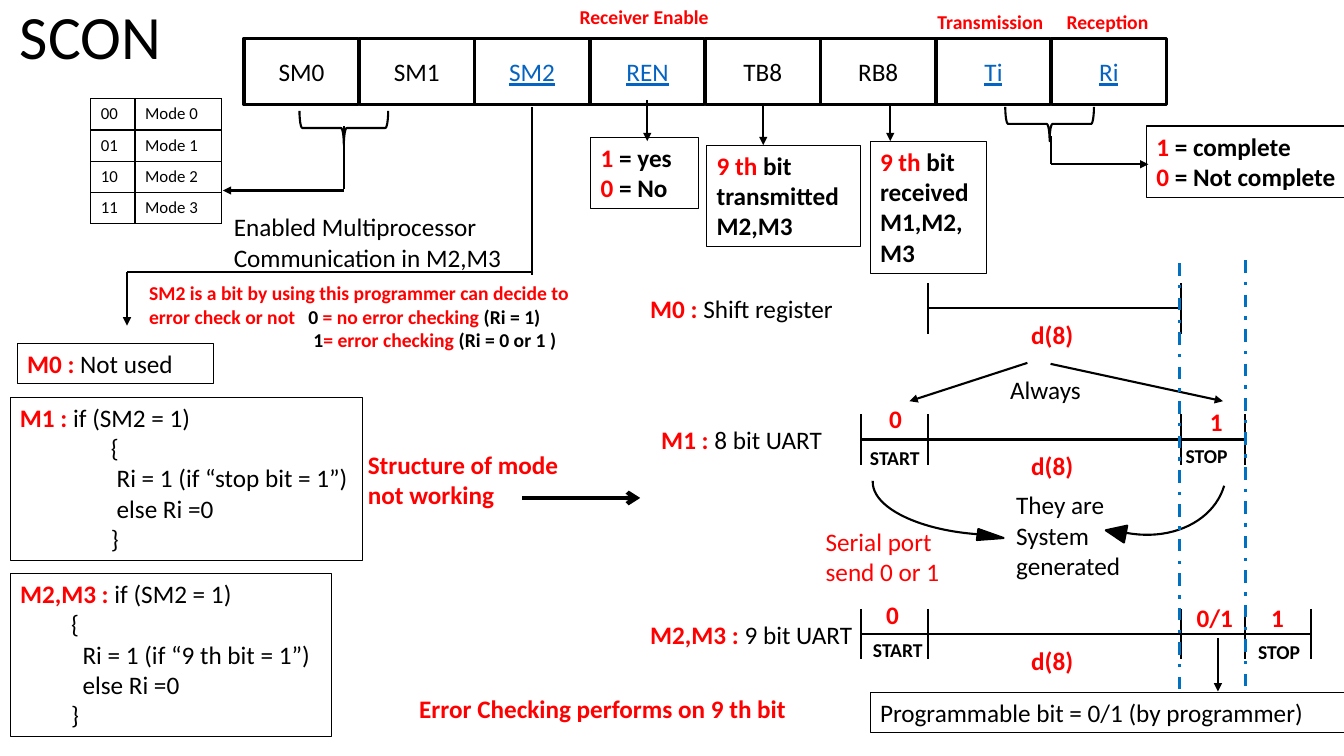
from itertools import pairwise

from lxml import etree
from pptx import Presentation
from pptx.dml.color import RGBColor
from pptx.enum.dml import MSO_LINE
from pptx.enum.shapes import MSO_CONNECTOR, MSO_SHAPE
from pptx.enum.text import MSO_ANCHOR, MSO_AUTO_SIZE, PP_ALIGN
from pptx.oxml.ns import qn
from pptx.util import Inches, Pt

RECT, BRACE = MSO_SHAPE.RECTANGLE, MSO_SHAPE.RIGHT_BRACE
ARC, TRIANGLE = MSO_SHAPE.ARC, MSO_SHAPE.ISOSCELES_TRIANGLE
STRAIGHT, DASH_DOT = MSO_CONNECTOR.STRAIGHT, MSO_LINE.DASH_DOT
TOP, MIDDLE = MSO_ANCHOR.TOP, MSO_ANCHOR.MIDDLE
LEFT, CENTER = PP_ALIGN.LEFT, PP_ALIGN.CENTER
FIT, FIXED = MSO_AUTO_SIZE.SHAPE_TO_FIT_TEXT, MSO_AUTO_SIZE.NONE
BLACK, RED, LINK, BLUE = "000000", "FF0000", "0563C1", "0070C0"


def rgb(value):
    return RGBColor.from_string(value)


def add_run(p, text, size, color=BLACK, bold=False, underline=False):
    r = p.add_run()
    r.text = text
    font = r.font
    font.name, font.size, font.bold = "Calibri", Pt(size), bold
    font.underline = underline
    font.color.rgb = rgb(color)


def fill_text(tf, paragraphs, size=18, align=LEFT):
    for i, runs in enumerate(paragraphs):
        p = tf.add_paragraph() if i else tf.paragraphs[0]
        p.alignment = align
        for run in runs:
            if run[0] == "\n":
                p.add_line_break()
            else:
                add_run(p, run[0], size, *run[1:])


def add_text(s, at, paragraphs, size=18, wrap=True):
    sp = s.shapes.add_textbox(*map(Inches, at))
    tf = sp.text_frame
    tf.word_wrap, tf.auto_size = wrap, FIT
    fill_text(tf, paragraphs, size)
    return tf


def add_label(s, x, y, w, text, size=18, color=RED, wrap=False):
    h = 0.4 if size == 18 else 0.34
    add_text(s, (x, y, w, h), [[(text, color, True)]], size, wrap)


def add_shape(s, kind, at, width, fill=None, rotation=0, flip=""):
    sp = s.shapes.add_shape(kind, *map(Inches, at))
    sp.shadow.inherit = False
    sp.line.color.rgb, sp.line.width = rgb(BLACK), Pt(width)
    if fill:
        sp.fill.solid()
        sp.fill.fore_color.rgb = rgb(fill)
    else:
        sp.fill.background()
    sp.rotation = rotation
    for axis in flip:
        sp._element.spPr.find(qn("a:xfrm")).set("flip" + axis, "1")
    return sp


def add_box(s, at, paragraphs):
    tf = add_shape(s, RECT, at, 0.75).text_frame
    tf.word_wrap, tf.auto_size, tf.vertical_anchor = True, FIT, TOP
    fill_text(tf, paragraphs)


def add_line(s, x1, y1, x2, y2, head=None, color=BLACK, width=1.5, dash=None):
    c = s.shapes.add_connector(STRAIGHT, *map(Inches, (x1, y1, x2, y2)))
    c.line.color.rgb, c.line.width = rgb(color), Pt(width)
    if dash:
        c.line.dash_style = dash
    if head:
        etree.SubElement(c.line._get_or_add_ln(), qn("a:tailEnd"), type=head)
    etree.SubElement(c._element.spPr, qn("a:effectLst"))


def add_register(s):
    for i, name in enumerate(["SM0", "SM1", "SM2", "REN", "TB8", "RB8", "Ti", "Ri"]):
        linked = name in ("SM2", "REN", "Ti", "Ri")
        sp = add_shape(s, RECT, (2.42 + i * 1.144, 0.38, 1.14, 0.66), 2.25)
        sp.text_frame.vertical_anchor = MIDDLE
        run = (name, LINK if linked else BLACK, False, linked)
        fill_text(sp.text_frame, [[run]], align=CENTER)


def add_modes(s):
    frame = s.shapes.add_table(4, 2, *map(Inches, (0.9, 0.98, 1.3, 1.24)))
    table = frame.table
    table.first_row = table.horz_banding = False
    for col, width in zip(table.columns, (0.44, 0.86)):
        col.width = Inches(width)
    for i in range(4):
        table.rows[i].height = Inches(0.31)
        for j, text in enumerate((f"{i:02b}", f"Mode {i}")):
            cell = table.cell(i, j)
            fill_text(cell.text_frame, [[(text,)]], 12)
            tc_pr = cell._tc.get_or_add_tcPr()
            for side in ("lnL", "lnR", "lnT", "lnB"):
                ln = etree.SubElement(tc_pr, qn("a:" + side), w=str(Pt(1)))
                solid = etree.SubElement(ln, qn("a:solidFill"))
                etree.SubElement(solid, qn("a:srgbClr"), val=BLACK)
            cell.fill.background()


def add_frame(s, y, ticks, name, meaning, x):
    for start, end in pairwise(ticks):
        add_line(s, start, y, end, y)
    for tick in ticks:
        add_line(s, tick, y - 0.25, tick, y + 0.25)
    add_label(s, 10.13, y + 0.06, 0.9, "d(8)")
    add_text(s, (x, y - 0.2, 2.32, 0.4), [[(name, RED, True), (meaning,)]])


def add_sm2_note(s):
    tf = add_text(s, (1.38, 2.74, 4.42, 1.04), [
        [("SM2 is a bit by using this programmer can decide to error check or not\t", RED, True),
         ("0", BLACK, True), (" = no error checking ", RED, True), ("(Ri = 1)", BLACK, True)],
        [("1", BLACK, True), ("= error checking ", RED, True), ("(Ri = 0 or 1 )", BLACK, True)],
    ], 14)
    first, second = (p._p.get_or_add_pPr() for p in tf.paragraphs)
    tabs = etree.SubElement(first, qn("a:tabLst"))
    etree.SubElement(tabs, qn("a:tab"), pos=str(Inches(1.58)), algn="l")
    second.set("marL", str(Inches(1.63)))
    second.set("indent", "0")


def add_code(s, at, name, brace_indent, body_indent, bit):
    brace, body = " " * brace_indent, " " * body_indent
    lines = [brace + "{", f"{body}Ri = 1 (if “{bit} = 1”)", body + "else Ri =0", brace + "}"]
    add_box(s, at, [[(name, RED, True), ("if (SM2 = 1)",)]] + [[(line,)] for line in lines])


def add_choice(s, at, one, zero):
    add_box(s, at, [[(digit, RED, True), (f" = {meaning}", BLACK, True)]
                    for digit, meaning in (("1", one), ("0", zero))])


def add_curves(s):
    for at, start, rotation, flip in (
        ((10.54, 3.65, 1.46, 1.82), 162.04, 286.5, "HV"),
        ((9.32, 3.67, 0.97, 2.3), 161.83, 272.2, "H"),
    ):
        arc = add_shape(s, ARC, at, 1.5, None, rotation, flip)
        arc.adjustments[0], arc.adjustments[1] = start, 0
    add_shape(s, TRIANGLE, (10.98, 5.18, 0.17, 0.2), 1.5, BLACK, 101, "HV")
    add_shape(s, TRIANGLE, (9.77, 5.19, 0.11, 0.26), 1.5, BLACK, 97.7, "H")


def add_uart_frames(s):
    add_frame(s, 3.06, (9.2, 11.71), "M0 : ", "Shift register", 6.35)
    add_frame(s, 4.36, (8.54, 9.2, 11.71, 12.35), "M1 : ", "8 bit UART", 6.46)
    add_frame(s, 6.29, (8.54, 9.2, 11.71, 12.35, 13), "M2,M3 : ", "9 bit UART", 6.35)
    for x, y, text in ((8.72, 3.95, "0"), (11.9, 3.98, "1"), (8.69, 5.9, "0"), (12.51, 5.93, "1")):
        add_label(s, x, y, 0.39, text)
    for x, y, w, text in ((8.53, 4.37, 0.7, "START"), (11.66, 4.35, 0.62, "STOP"),
                          (8.56, 6.28, 0.7, "START"), (12.38, 6.3, 0.62, "STOP")):
        add_label(s, x, y, w, text, 14, BLACK)
    add_label(s, 11.77, 5.93, 0.69, "0/1", wrap=True)
    add_text(s, (9.92, 3.66, 1.48, 0.4), [[("Always",)]])
    add_text(s, (9.98, 4.81, 1.48, 1.01), [[("They are",)], [("System",)], [("generated",)]])
    add_text(s, (8.09, 5.17, 1.48, 0.71), [[("Serial port send 0 or 1", RED)]])
    add_curves(s)
    add_box(s, (8.63, 6.87, 4.74, 0.4), [[("Programmable bit = 0/1 (by programmer)",)]])


def add_lines(s):
    for points in ((3.41, 1.25, 3.41, 1.88), (5.28, 1.06, 5.28, 2.73),
                   (5.29, 2.7, 1.26, 2.7), (10.42, 1.35, 10.42, 1.63)):
        add_line(s, *points)
    for points in ((3.41, 1.89, 2.21, 1.89), (1.26, 2.7, 1.26, 3.23), (10.42, 1.63, 11.39, 1.63),
                   (6.42, 0.99, 6.42, 1.4), (7.57, 1.03, 7.57, 1.44), (8.83, 1.03, 8.83, 1.4),
                   (10.19, 3.6, 9.02, 3.98), (10.42, 3.61, 12.13, 3.98), (12.08, 6.33, 12.08, 6.86)):
        add_line(s, *points, "triangle")
    add_line(s, 5.18, 4.94, 6.35, 4.94, "arrow", width=3)
    for x, y in ((11.7, 2.61), (12.35, 2.58)):
        add_line(s, x, y, x, y + 4.25, None, BLUE, 2.25, DASH_DOT)


def main():
    prs = Presentation()
    prs.slide_width, prs.slide_height = Inches(13.33), Inches(7.5)
    s = prs.slides.add_slide(prs.slide_layouts[6])
    add_register(s)
    title = add_text(s, (0.1, -0.33, 11.5, 1.45), [[("SCON",)]], 44)
    title.auto_size, title.vertical_anchor = FIXED, MIDDLE
    title.paragraphs[0].line_spacing = 0.9
    for x, y, w, text in ((5.65, 0, 2.25, "Receiver Enable"), (9.2, 0.05, 1.36, "Transmission"),
                          (10.48, 0.05, 1.36, "Reception")):
        add_label(s, x, y, w, text, 14, wrap=True)
    add_modes(s)
    for x, y in ((3.24, 0.83), (10.24, 0.79)):
        add_shape(s, BRACE, (x, y, 0.34, 0.88), 1.5, rotation=90)
    add_text(s, (2.22, 2.05, 3.08, 0.71),
             [[("Enabled Multiprocessor",)], [("Communication in M2,M3",)]])
    add_sm2_note(s)
    add_box(s, (0.17, 3.41, 1.95, 0.4), [[("M0 : ", RED, True), ("Not used",)]])
    add_code(s, (0.1, 3.94, 3.5, 1.62), "M1 : ", 16, 17, "stop bit")
    add_code(s, (0.1, 5.69, 3.19, 1.62), "M2,M3 : ", 9, 11, "9 th bit")
    add_uart_frames(s)
    ninth = ("9 th ", RED, True)
    add_box(s, (7.01, 1.44, 1.53, 1.01),
            [[ninth, ("bit transmitted", BLACK, True)], [("M2,M3", BLACK, True)]])
    add_box(s, (8.63, 1.4, 1.15, 1.31),
            [[ninth, ("bit received", BLACK, True), ("\n",), ("M1,M2,M3", BLACK, True)]])
    add_choice(s, (11.37, 1.25, 2.08, 0.71), "complete", "Not complete")
    add_choice(s, (5.86, 1.36, 1.07, 0.71), "yes", "No")
    add_text(s, (3.55, 4.41, 2.4, 0.71), [[("Structure of mode not working", RED, True)]])
    add_label(s, 4.06, 6.83, 4, "Error Checking performs on 9 th bit", wrap=True)
    add_lines(s)
    prs.save("out.pptx")


if __name__ == "__main__":
    main()
